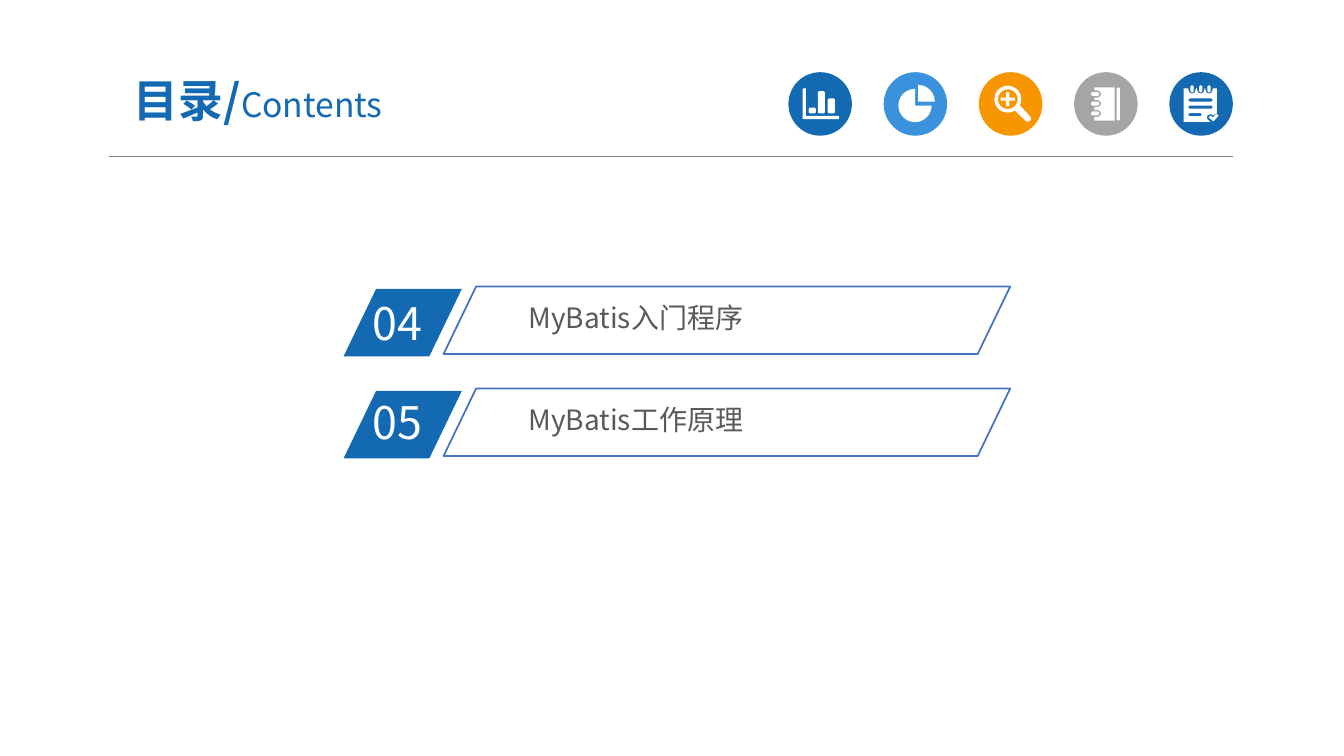
"""Build the contents slide with its icon header and numbered entries."""
from math import cos, radians, sin
from lxml.etree import SubElement
from pptx import Presentation
from pptx.dml.color import RGBColor as Rgb
from pptx.enum.shapes import MSO_CONNECTOR as Link, MSO_SHAPE as Preset
from pptx.enum.text import MSO_ANCHOR as Anchor, MSO_AUTO_SIZE as AutoSize, PP_ALIGN as Align
from pptx.oxml.ns import qn
from pptx.util import Cm, Pt

COLORS = {
    "blue": "1369B2", "sky": "3992DB", "orange": "F79600", "gray": "A5A5A5",
    "outline": "4472C4", "rule": "7F7F7F", "text": "595959", "white": "FFFFFF",
}
DISC = 1.6
ROW_STEP = 2.57


class SlideBuilder:
    def __init__(self, slide, font):
        self.slide = slide
        self.font = font

    def color(self, name):
        return Rgb.from_string(COLORS[name])

    def paint(self, shape, fill, line=None):
        shape.shadow.inherit = False
        if fill:
            shape.fill.solid()
            shape.fill.fore_color.rgb = self.color(fill)
        else:
            shape.fill.background()
        if line:
            shape.line.color.rgb = self.color(line)
            shape.line.width = Pt(1.25)
        else:
            shape.line.fill.background()

    def shape(self, preset, box, fill=None, line=None, adjust=()):
        shape = self.slide.shapes.add_shape(preset, *map(Cm, box))
        for index, value in enumerate(adjust):
            shape.adjustments[index] = value
        self.paint(shape, fill, line)

    def glyph(self, left, top, contours):
        placed = [[(Cm(left + x), Cm(top + y)) for x, y in contour]
                  for contour in contours]
        builder = self.slide.shapes.build_freeform(*placed[0][0])
        for index, points in enumerate(placed):
            if index:
                builder.move_to(*points[0])
            builder.add_line_segments(points[1:], close=True)
        self.paint(builder.convert_to_shape(), "white")

    def icon(self, left, top, disc, contours):
        self.shape(Preset.OVAL, (left, top, DISC, DISC), disc)
        self.glyph(left, top, contours)

    def rule(self, start, end):
        line = self.slide.shapes.add_connector(Link.STRAIGHT, *map(Cm, start + end))
        line.line.color.rgb = self.color("rule")
        line.line.width = Pt(0.5)
        SubElement(line._element.spPr, qn("a:effectLst"))

    def text(self, box, runs, color, margins=(0.25, 0.13), align=Align.LEFT,
             anchor=Anchor.TOP, grow=True):
        frame = self.slide.shapes.add_textbox(*map(Cm, box)).text_frame
        frame.word_wrap = True
        frame.auto_size = AutoSize.SHAPE_TO_FIT_TEXT if grow else AutoSize.NONE
        frame.vertical_anchor = anchor
        frame.margin_left = frame.margin_right = Cm(margins[0])
        frame.margin_top = frame.margin_bottom = Cm(margins[1])
        paragraph = frame.paragraphs[0]
        paragraph.alignment = align
        for words, size, bold in runs:
            run = paragraph.add_run()
            run.text = words
            run.font.size = Pt(size)
            run.font.bold = bold
            run.font.color.rgb = self.color(color)
            run.font.name = self.font
            SubElement(run._r.rPr, qn("a:ea"), typeface=self.font)


def bar(x, y, width, height, cut=0.03):
    right, bottom = x + width, y + height
    return [(x + cut, y), (right - cut, y), (right, y + cut), (right, bottom - cut),
            (right - cut, bottom), (x + cut, bottom), (x, bottom - cut), (x, y + cut)]


def arc(x, y, radius, start, end, steps):
    angles = [radians(start + (end - start) * step / steps) for step in range(steps + 1)]
    return [(x + radius * cos(angle), y + radius * sin(angle)) for angle in angles]


def bar_chart():
    axes = [(0.36, 0.41), (0.44, 0.41), (0.44, 1.1), (1.27, 1.1), (1.27, 1.18), (0.36, 1.18)]
    bars = [bar(x, 1.04 - height, 0.18, height)
            for x, height in ((0.51, 0.15), (0.74, 0.56), (0.99, 0.38))]
    return [axes] + bars


def pie_chart():
    return [[(0.79, 0.84)] + arc(0.79, 0.84, 0.42, 0, 270, 18),
            [(0.87, 0.74)] + arc(0.87, 0.74, 0.42, 270, 360, 6)]


def magnifier():
    x, y, reach, half = 0.73, 0.68, 0.18, 0.04
    handle = [(1.27, 1.09), (1.32, 1.17), (1.29, 1.23), (1.22, 1.25), (1.17, 1.22)]
    plus = [(-reach, -half), (-half, -half), (-half, -reach), (half, -reach),
            (half, -half), (reach, -half), (reach, half), (half, half),
            (half, reach), (-half, reach), (-half, half), (-reach, half)]
    return [arc(x, y, 0.34, 58, 387, 20) + handle, arc(x, y, 0.25, 0, 345, 15),
            [(x + across, y + down) for across, down in plus]]


def notebook():
    ring_heights = (0.55, 0.79, 1.04)
    cover = [(1.02, 1.22), (1.02, 0.38), (0.51, 0.38)]
    for y in ring_heights:
        cover += [(0.51, y - 0.09)] + arc(0.59, y, 0.09, -90, 90, 4) + [(0.51, y + 0.09)]
    cover.append((0.51, 1.22))
    rings = [bar(0.43, y - 0.05, 0.2, 0.1) for y in ring_heights]
    return [cover, bar(1.07, 0.38, 0.08, 0.84)] + rings


def notepad():
    ring_places = (0.57, 0.79, 1)
    page = [(0.36, 1.25), (0.36, 0.41)]
    for x in ring_places:
        page += [(x - 0.09, 0.41)] + arc(x, 0.45, 0.09, 180, 0, 4) + [(x + 0.09, 0.41)]
    page += [(1.2, 0.41), (1.2, 1.02), (1.1, 1.09), (1.04, 1.05), (0.95, 1.1),
             (0.95, 1.17), (1.03, 1.25)]
    rings = [bar(x - 0.04, 0.33, 0.08, 0.18) for x in ring_places]
    lines = [bar(0.48, y, width, 0.08)
             for y, width in ((0.66, 0.61), (0.84, 0.61), (1.03, 0.33))]
    check = [(1.04, 1.09), (1.09, 1.14), (1.19, 1.04), (1.24, 1.1), (1.11, 1.24), (0.99, 1.14)]
    return [page, check] + rings + lines


def main():
    presentation = Presentation()
    presentation.slide_width = Cm(33.87)
    presentation.slide_height = Cm(19.05)
    slide = presentation.slides.add_slide(presentation.slide_layouts[6])
    builder = SlideBuilder(slide, "Noto Sans CJK SC")

    builder.rule((2.75, 3.93), (31.08, 3.93))
    icons = [("blue", bar_chart()), ("sky", pie_chart()), ("orange", magnifier()),
             ("gray", notebook()), ("blue", notepad())]
    for index, (disc, contours) in enumerate(icons):
        builder.icon(19.87 + 2.4 * index, 1.82, disc, contours)
    builder.text((2.33, 1.6, 8.36, 1.83),
                 [("目录/", 32, True), ("Contents", 24, False)], "blue",
                 (0.33, 0.18), Align.CENTER, Anchor.MIDDLE, grow=False)

    entries = [("04", 7.32, "MyBatis入门程序"), ("05", 9.82, "MyBatis工作原理")]
    for row, (number, number_top, title) in enumerate(entries):
        shift = ROW_STEP * row
        builder.shape(Preset.PARALLELOGRAM, (8.66, 7.28 + shift, 2.98, 1.7),
                      "blue", adjust=(0.482,))
        builder.text((9.14, number_top, 2.84, 1.63), [(number, 32, False)], "white")
        builder.text((13.14, 7.47 + shift, 10.46, 1.04), [(title, 20, False)],
                     "text", (0.18, 0.1))
        builder.shape(Preset.PARALLELOGRAM, (11.18, 7.22 + shift, 14.28, 1.7),
                      line="outline", adjust=(0.482,))

    presentation.save("out.pptx")


if __name__ == "__main__":
    main()
